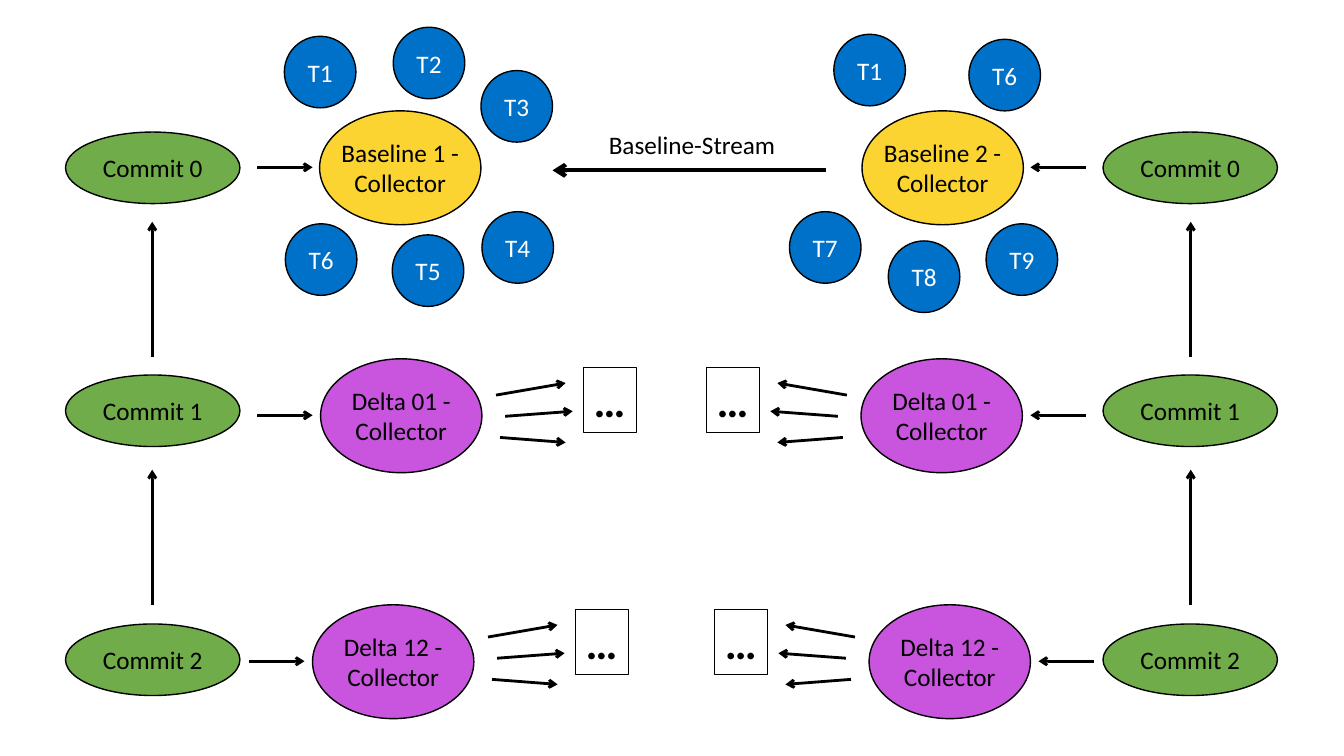
from dataclasses import dataclass

from lxml.etree import SubElement
from pptx import Presentation
from pptx.dml.color import RGBColor
from pptx.enum.shapes import MSO_CONNECTOR, MSO_SHAPE
from pptx.enum.text import MSO_ANCHOR, MSO_AUTO_SIZE, PP_ALIGN
from pptx.oxml.ns import qn
from pptx.util import Inches, Pt


@dataclass(frozen=True)
class Theme:
    font: str = "Calibri"
    ink: str = "000000"
    paper: str = "FFFFFF"
    commit: str = "70AC49"
    base: str = "FCD432"
    delta: str = "C954DD"
    task: str = "0071C8"
    body: int = 18
    dots: int = 32


class Board:
    cell = 0.1
    span = 133.2

    def __init__(self, slide, theme):
        self.slide = slide
        self.theme = theme
        self.flip = False

    def size(self, count):
        return Inches(count * self.cell)

    def place(self, col, row, wide, high):
        left = self.span - col - wide if self.flip else col
        return [self.size(n) for n in (left, row, wide, high)]

    def words(self, shape, text, size, color, align, bold=False):
        frame = shape.text_frame
        frame.word_wrap = False
        frame.text = text
        for par in frame.paragraphs:
            par.alignment = align
            par.font.name = self.theme.font
            par.font.size = Pt(size)
            par.font.bold = bold
            par.font.color.rgb = RGBColor.from_string(color)
        return frame

    def shape(self, kind, spot, weight):
        shape = self.slide.shapes.add_shape(kind, *self.place(*spot))
        shape.shadow.inherit = False
        shape.line.color.rgb = RGBColor.from_string(self.theme.ink)
        shape.line.width = Pt(weight)
        return shape

    def oval(self, text, spot, fill, color):
        shape = self.shape(MSO_SHAPE.OVAL, spot, 1)
        shape.fill.solid()
        shape.fill.fore_color.rgb = RGBColor.from_string(fill)
        frame = self.words(shape, text, self.theme.body, color, PP_ALIGN.CENTER)
        frame.vertical_anchor = MSO_ANCHOR.MIDDLE

    def commit(self, text, row):
        self.oval(text, (6.5, row, 17.3, 7.1), self.theme.commit, self.theme.ink)

    def hub(self, text, col, row, fill):
        self.oval(f"{text} -\nCollector", (col, row, 16, 11.3), fill, self.theme.ink)

    def task(self, text, col, row):
        self.oval(text, (col, row, 7.1, 7.1), self.theme.task, self.theme.paper)

    def more(self, col, row):
        shape = self.shape(MSO_SHAPE.RECTANGLE, (col, row, 5.2, 6.4), 0.75)
        shape.fill.background()
        frame = self.words(shape, "…", self.theme.dots, self.theme.ink, PP_ALIGN.LEFT, True)
        frame.vertical_anchor = MSO_ANCHOR.TOP
        frame.auto_size = MSO_AUTO_SIZE.SHAPE_TO_FIT_TEXT

    def label(self, text, spot):
        box = self.slide.shapes.add_textbox(*self.place(*spot))
        frame = self.words(box, text, self.theme.body, self.theme.ink, PP_ALIGN.LEFT)
        frame.auto_size = MSO_AUTO_SIZE.SHAPE_TO_FIT_TEXT

    def arrow(self, start, end, weight=2):
        ends = [self.place(*point, 0, 0)[:2] for point in (start, end)]
        line = self.slide.shapes.add_connector(MSO_CONNECTOR.STRAIGHT, *ends[0], *ends[1])
        line.line.color.rgb = RGBColor.from_string(self.theme.ink)
        line.line.width = Pt(weight)
        props = line.element.spPr
        SubElement(props.get_or_add_ln(), qn("a:tailEnd"), type="arrow")
        SubElement(props, qn("a:effectLst"))

    def fan(self, shift, drop):
        for col, row, tip, end in (
            (49.2, 39.2, 56.1, 38),
            (50.1, 41.3, 56.8, 40.8),
            (49.6, 43.4, 56.1, 43.9),
        ):
            self.arrow((col + shift, row + drop), (tip + shift, end + drop))
        self.more(57.9 + shift, 36.5 + drop)

    def branch(self, title, tasks):
        for index, row in enumerate((13.1, 37.2, 61.9)):
            self.commit(f"Commit {index}", row)
        for row in (35.4, 60):
            self.arrow((15.1, row), (15.1, row - 13.4))
        self.hub(title, 31.7, 11, self.theme.base)
        self.arrow((25.5, 16.6), (31, 16.6))
        for task in tasks:
            self.task(*task)
        for name, shift, row, drop in (("Delta 01", 0, 35.6, 0), ("Delta 12", -0.8, 60, 24)):
            self.hub(name, 31.8 + shift, row, self.theme.delta)
            self.arrow((25.5 + shift, row + 5.6), (31 + shift, row + 5.6))
            self.fan(shift, drop)


LEFT = (
    ("T1", 28.2, 3.6), ("T2", 39, 2.7), ("T3", 47.7, 7),
    ("T4", 47.8, 21), ("T5", 38.9, 23.3), ("T6", 28.3, 22.2),
)
RIGHT = (
    ("T1", 43.4, 3.4), ("T6", 30, 3.9), ("T7", 47.8, 21),
    ("T8", 38, 23.9), ("T9", 28.3, 22.2),
)


def main():
    deck = Presentation()
    deck.slide_width, deck.slide_height = Inches(13.33), Inches(7.5)
    board = Board(deck.slides.add_slide(deck.slide_layouts[6]), Theme())
    board.branch("Baseline 1", LEFT)
    board.arrow((81.9, 16.9), (54.8, 16.9), 3)
    board.label("Baseline-Stream", (59.4, 12.3, 18.7, 4))
    board.flip = True
    board.branch("Baseline 2", RIGHT)
    deck.save("out.pptx")


if __name__ == "__main__":
    main()
